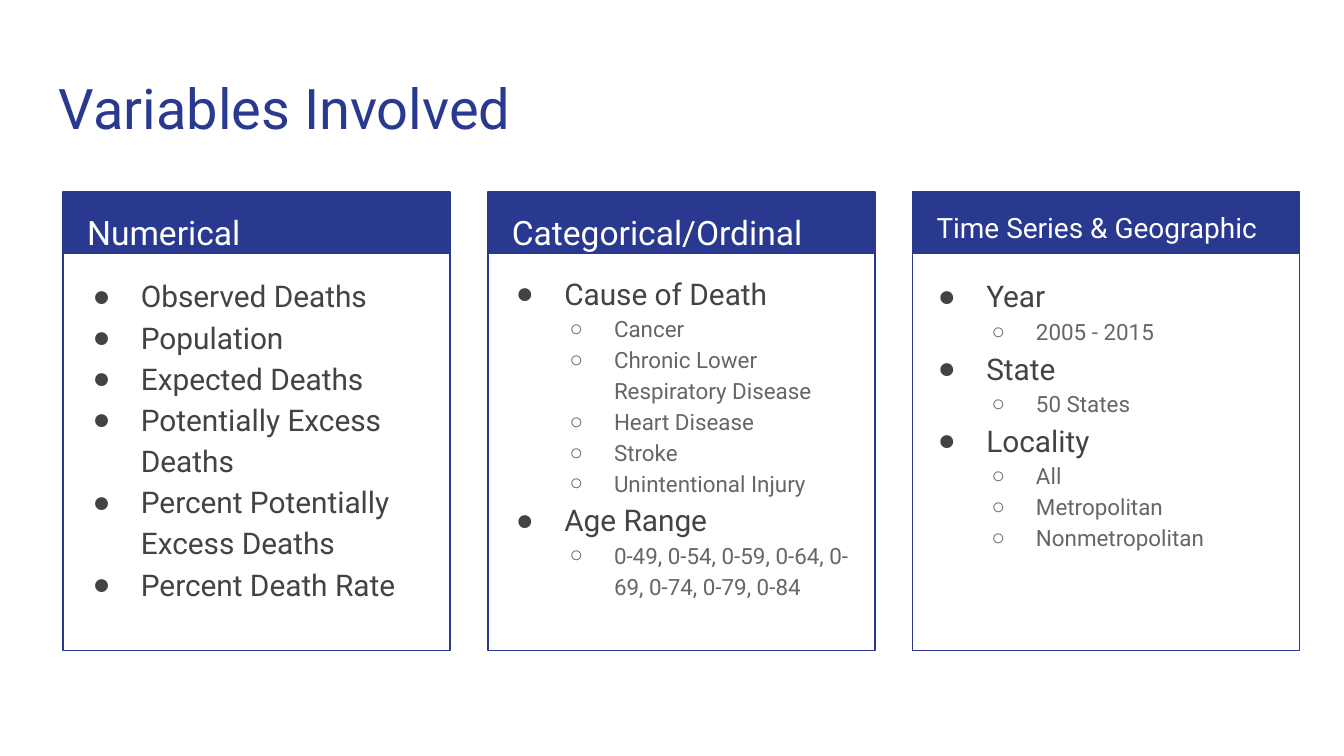
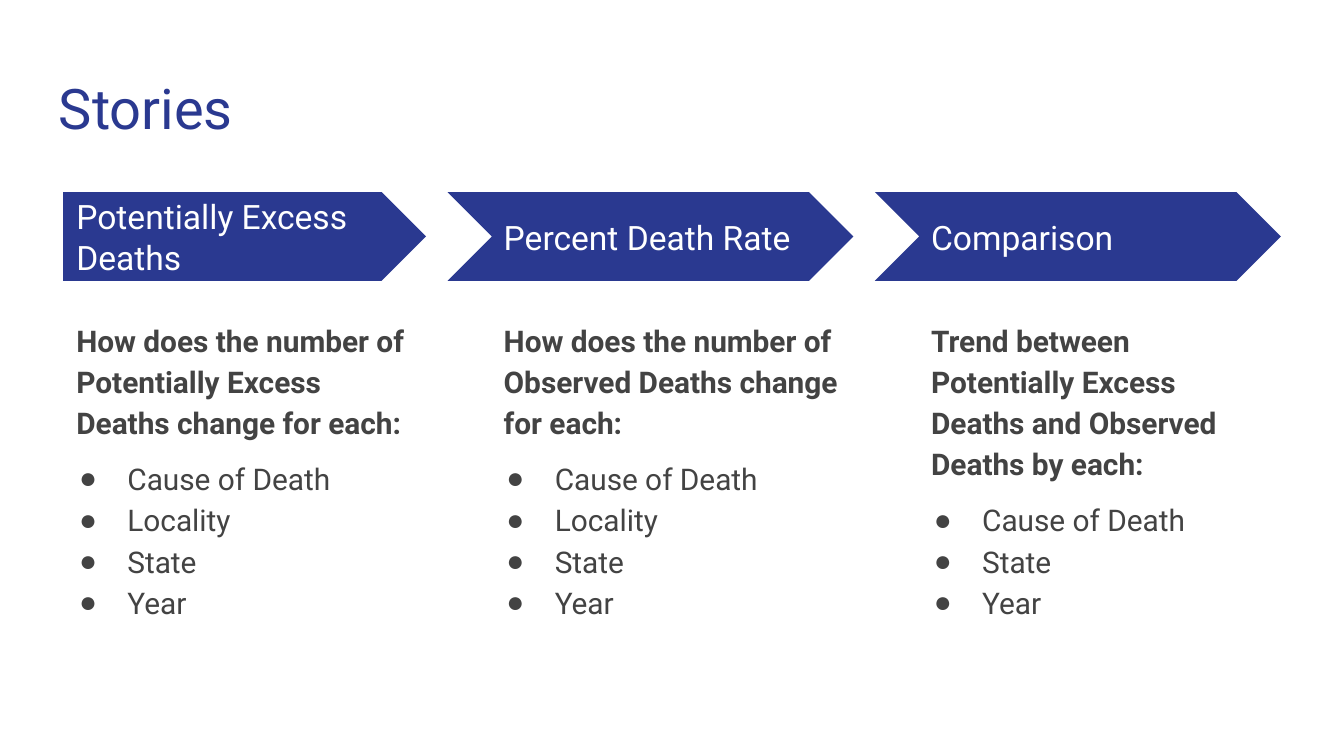
from dataclasses import dataclass

from lxml.etree import SubElement
from pptx import Presentation
from pptx.dml.color import RGBColor
from pptx.enum.shapes import MSO_SHAPE
from pptx.enum.text import MSO_ANCHOR
from pptx.oxml.ns import qn
from pptx.util import Inches, Pt


@dataclass(frozen=True)
class Theme:
    font: str = "Roboto"
    bullet_font: str = "Arial"
    navy: str = "2A3990"
    white: str = "FFFFFF"
    body: str = "434343"
    muted: str = "666666"
    title_size: int = 30
    heading_size: int = 18
    small_heading_size: int = 15
    body_size: int = 16
    detail_size: int = 12
    border: float = 0.75
    leading: float = 1.15


THEME = Theme()

VARIABLE_GROUPS = [
    {
        "heading": "Numerical",
        "size": THEME.heading_size,
        "list_at": (0.57, 1.93),
        "items": [
            ("Observed Deaths", []),
            ("Population", []),
            ("Expected Deaths", []),
            ("Potentially Excess Deaths", []),
            ("Percent Potentially Excess Deaths", []),
            ("Percent Death Rate", []),
        ],
    },
    {
        "heading": "Categorical/Ordinal",
        "size": THEME.heading_size,
        "list_at": (3.72, 1.91),
        "items": [
            ("Cause of Death", [
                "Cancer",
                "Chronic Lower Respiratory Disease",
                "Heart Disease",
                "Stroke",
                "Unintentional Injury",
            ]),
            ("Age Range", ["0-49, 0-54, 0-59, 0-64, 0-69, 0-74, 0-79, 0-84"]),
        ],
    },
    {
        "heading": "Time Series & Geographic",
        "size": THEME.small_heading_size,
        "list_at": (6.86, 1.93),
        "items": [
            ("Year", ["2005 - 2015"]),
            ("State", ["50 States"]),
            ("Locality", ["All", "Metropolitan", "Nonmetropolitan"]),
        ],
    },
]

STORIES = [
    ("Potentially Excess Deaths",
     "How does the number of Potentially Excess Deaths change for each:",
     ["Cause of Death", "Locality", "State", "Year"]),
    ("Percent Death Rate",
     "How does the number of Observed Deaths change for each:",
     ["Cause of Death", "Locality", "State", "Year"]),
    ("Comparison",
     "Trend between Potentially Excess Deaths and Observed Deaths by each:",
     ["Cause of Death", "State", "Year"]),
]

SLIDE_WIDTH = 10
SLIDE_HEIGHT = SLIDE_WIDTH * 9 / 16
LEFT, TOP = 0.47, 1.43
CARD_PITCH, CARD_WIDTH, CARD_HEIGHT, BAND_HEIGHT = 3.16, 2.88, 3.41, 0.46
STORY_PITCH, STORY_WIDTH, ARROW_HEIGHT, NOTCH = 3.18, 2.7, 0.66, 0.32

MAIN_ITEM = {
    "size": THEME.body_size, "color": THEME.body, "leading": THEME.leading,
    "bullet": "●", "indent": (0.38, -0.36),
}
SUB_ITEM = {
    "size": THEME.detail_size, "color": THEME.muted, "leading": THEME.leading,
    "bullet": "○", "indent": (0.75, -0.33), "level": 1,
}


def add_text(frame, text, *, size, color, bold=False, leading=None,
             before=0, bullet=None, indent=(0, 0), level=0):
    first = frame.paragraphs[0]
    paragraph = frame.add_paragraph() if first.runs else first
    paragraph.level = level
    paragraph.space_before = Pt(before)
    if leading:
        paragraph.line_spacing = leading
    run = paragraph.add_run()
    run.text = text
    run.font.name = THEME.font
    run.font.size = Pt(size)
    run.font.bold = bold
    run.font.color.rgb = RGBColor.from_string(color)
    if bullet:
        properties = paragraph._p.get_or_add_pPr()
        margin, hanging = indent
        properties.set("marL", str(Inches(margin)))
        properties.set("indent", str(Inches(hanging)))
        tint = SubElement(properties, qn("a:buClr"))
        SubElement(tint, qn("a:srgbClr"), val=color)
        SubElement(properties, qn("a:buFont"), typeface=THEME.bullet_font)
        SubElement(properties, qn("a:buChar"), char=bullet)


def add_frame(slide, left, top, width, height, anchor=MSO_ANCHOR.TOP):
    frame = slide.shapes.add_textbox(
        Inches(left), Inches(top), Inches(width), Inches(height)).text_frame
    frame.word_wrap = True
    frame.vertical_anchor = anchor
    frame.margin_left = frame.margin_right = Inches(0.1)
    frame.margin_top = frame.margin_bottom = Inches(0.1)
    return frame


def add_panel(slide, preset, left, top, width, height, filled=True):
    panel = slide.shapes.add_shape(
        preset, Inches(left), Inches(top), Inches(width), Inches(height))
    panel.shadow.inherit = False
    navy = RGBColor.from_string(THEME.navy)
    if filled:
        panel.fill.solid()
        panel.fill.fore_color.rgb = navy
        panel.line.fill.background()
    else:
        panel.fill.background()
        panel.line.color.rgb = navy
        panel.line.width = Pt(THEME.border)


def add_titled_slide(deck, title):
    slide = deck.slides.add_slide(deck.slide_layouts[6])
    slide.background.fill.solid()
    slide.background.fill.fore_color.rgb = RGBColor.from_string(THEME.white)
    add_text(add_frame(slide, 0.34, 0.45, 9.32, 0.66), title,
             size=THEME.title_size, color=THEME.navy)
    return slide


def build_variables(deck):
    slide = add_titled_slide(deck, "Variables Involved")
    for column, group in enumerate(VARIABLE_GROUPS):
        left = LEFT + column * CARD_PITCH
        add_panel(slide, MSO_SHAPE.RECTANGLE, left, TOP, CARD_WIDTH, BAND_HEIGHT)
        add_panel(slide, MSO_SHAPE.RECTANGLE, left, TOP, CARD_WIDTH, CARD_HEIGHT,
                  filled=False)
        add_text(add_frame(slide, left + 0.08, TOP, 2.73, 0.5), group["heading"],
                 size=group["size"], color=THEME.white, leading=THEME.leading)
        variables = add_frame(slide, *group["list_at"], 2.71, 2.6)
        for variable, values in group["items"]:
            add_text(variables, variable, **MAIN_ITEM)
            for value in values:
                add_text(variables, value, **SUB_ITEM)


def build_stories(deck):
    slide = add_titled_slide(deck, "Stories")
    for column, (heading, question, factors) in enumerate(STORIES):
        left = LEFT + column * STORY_PITCH
        preset = MSO_SHAPE.CHEVRON if column else MSO_SHAPE.PENTAGON
        notch = NOTCH if column else 0
        add_panel(slide, preset, left - notch, TOP, STORY_WIDTH + notch, ARROW_HEIGHT)
        add_text(add_frame(slide, left, 1.47, 2.47, 0.58, MSO_ANCHOR.MIDDLE), heading,
                 size=THEME.heading_size, color=THEME.white)
        story = add_frame(slide, left, 2.26, STORY_WIDTH, 2.9)
        add_text(story, question, size=THEME.body_size, color=THEME.body,
                 bold=True, leading=THEME.leading)
        for position, factor in enumerate(factors):
            add_text(story, factor, before=0 if position else 8, **MAIN_ITEM)


def main():
    deck = Presentation()
    deck.slide_width = Inches(SLIDE_WIDTH)
    deck.slide_height = Inches(SLIDE_HEIGHT)
    build_variables(deck)
    build_stories(deck)
    deck.save("out.pptx")


if __name__ == "__main__":
    main()
